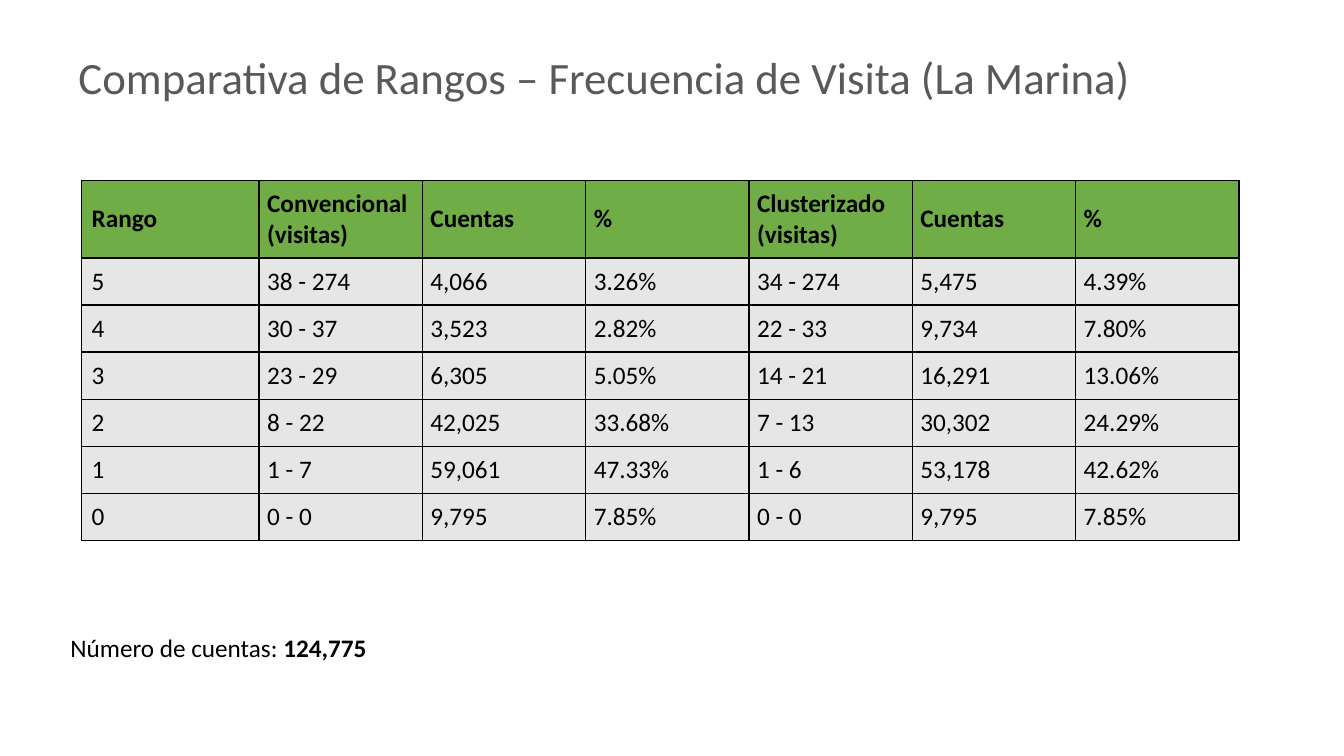
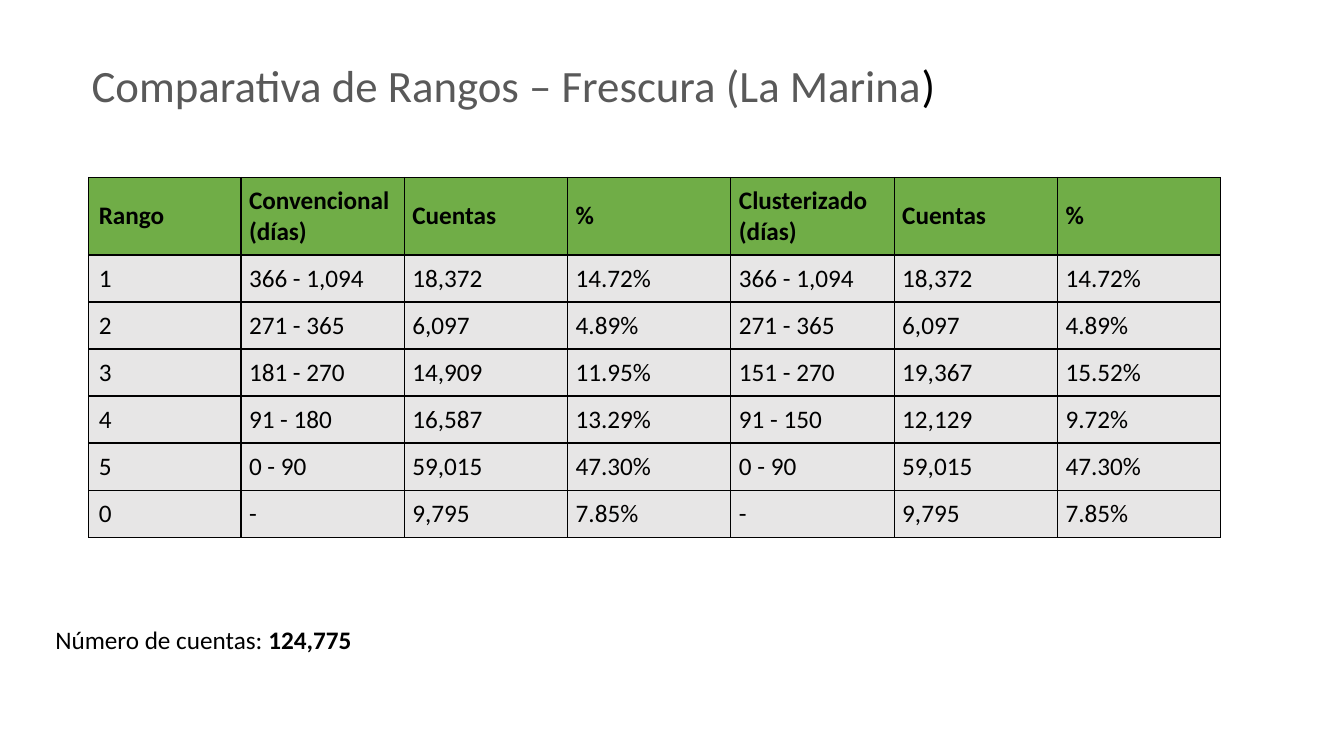
from dataclasses import dataclass

from lxml import etree
from pptx import Presentation
from pptx.dml.color import RGBColor
from pptx.enum.text import MSO_ANCHOR, MSO_AUTO_SIZE
from pptx.oxml.ns import qn
from pptx.slide import Slide
from pptx.table import _Cell
from pptx.text.text import _Paragraph
from pptx.util import Inches, Pt

MIDDLE = MSO_ANCHOR.MIDDLE
FIT_SHAPE = MSO_AUTO_SIZE.SHAPE_TO_FIT_TEXT


@dataclass(frozen=True)
class Theme:
    font: str = "Calibri"
    title_size: int = 32
    body_size: int = 18
    title_color: str = "595959"
    ink: str = "000000"
    header_fill: str = "70AD47"
    body_fill: str = "E7E6E6"
    border_width: int = 1


@dataclass(frozen=True)
class Run:
    text: str
    size: int
    color: str
    bold: bool = False


@dataclass(frozen=True)
class Box:
    left: float
    top: float
    width: float
    height: float


@dataclass(frozen=True)
class Comparison:
    title: tuple[Run, ...]
    title_box: Box
    unit: str
    rows: tuple[tuple[str, ...], ...]
    table_left: float
    table_top: float
    range_width: float
    total_box: Box


THEME = Theme()
VALUE_WIDTH = 1.62
TABLE_HEIGHT = 3.57
HEADER_HEIGHT = 0.77
CELL_INSET = 0.08
FIRST_COLUMN_INSET = 0.1

TOTAL = (
    Run("Número de cuentas: ", THEME.body_size, THEME.ink),
    Run("124,775", THEME.body_size, THEME.ink, bold=True),
)

COMPARISONS = (
    Comparison(
        title=(Run("Comparativa de Rangos – Frecuencia de Visita (La Marina)",
                   THEME.title_size, THEME.title_color),),
        title_box=Box(0.68, 0.44, 12.09, 0.64),
        unit="visitas",
        rows=(
            ("5", "38 - 274", "4,066", "3.26%", "34 - 274", "5,475", "4.39%"),
            ("4", "30 - 37", "3,523", "2.82%", "22 - 33", "9,734", "7.80%"),
            ("3", "23 - 29", "6,305", "5.05%", "14 - 21", "16,291", "13.06%"),
            ("2", "8 - 22", "42,025", "33.68%", "7 - 13", "30,302", "24.29%"),
            ("1", "1 - 7", "59,061", "47.33%", "1 - 6", "53,178", "42.62%"),
            ("0", "0 - 0", "9,795", "7.85%", "0 - 0", "9,795", "7.85%"),
        ),
        table_left=0.81,
        table_top=1.79,
        range_width=1.76,
        total_box=Box(0.6, 6.22, 3.62, 0.4),
    ),
    Comparison(
        title=(
            Run("Comparativa de Rangos – Frescura (La Marina", THEME.title_size, THEME.title_color),
            Run(")", THEME.title_size, THEME.ink),
        ),
        title_box=Box(0.81, 0.52, 9.34, 0.64),
        unit="días",
        rows=(
            ("1", "366 - 1,094", "18,372", "14.72%", "366 - 1,094", "18,372", "14.72%"),
            ("2", "271 - 365", "6,097", "4.89%", "271 - 365", "6,097", "4.89%"),
            ("3", "181 - 270", "14,909", "11.95%", "151 - 270", "19,367", "15.52%"),
            ("4", "91 - 180", "16,587", "13.29%", "91 - 150", "12,129", "9.72%"),
            ("5", "0 - 90", "59,015", "47.30%", "0 - 90", "59,015", "47.30%"),
            ("0", "-", "9,795", "7.85%", "-", "9,795", "7.85%"),
        ),
        table_left=0.88,
        table_top=1.76,
        range_width=1.51,
        total_box=Box(0.45, 6.14, 3.62, 0.4),
    ),
)


def add_text(paragraph: _Paragraph, text: str, *, size: int = THEME.body_size,
             color: str = THEME.ink, bold: bool = False) -> None:
    run = paragraph.add_run()
    run.text = text
    run.font.name = THEME.font
    run.font.size = Pt(size)
    run.font.bold = bold
    run.font.color.rgb = RGBColor.from_string(color)


def add_line(slide: Slide, box: Box, runs: tuple[Run, ...]) -> None:
    """Add a text box holding one paragraph of formatted runs."""
    frame = slide.shapes.add_textbox(
        Inches(box.left), Inches(box.top), Inches(box.width), Inches(box.height)
    ).text_frame
    frame.word_wrap = True
    frame.auto_size = FIT_SHAPE
    for run in runs:
        add_text(frame.paragraphs[0], run.text, size=run.size, color=run.color, bold=run.bold)


def add_borders(cell: _Cell) -> None:
    properties = cell._tc.get_or_add_tcPr()
    for side in ("a:lnL", "a:lnR", "a:lnT", "a:lnB"):
        line = etree.SubElement(properties, qn(side), w=str(Pt(THEME.border_width)))
        fill = etree.SubElement(line, qn("a:solidFill"))
        etree.SubElement(fill, qn("a:srgbClr"), val=THEME.ink)


def fill_cell(cell: _Cell, text: str, *, header: bool, first: bool) -> None:
    add_borders(cell)
    cell.fill.solid()
    cell.fill.fore_color.rgb = RGBColor.from_string(
        THEME.header_fill if header else THEME.body_fill)
    cell.vertical_anchor = MIDDLE
    cell.margin_left = Inches(FIRST_COLUMN_INSET if first else CELL_INSET)
    cell.margin_right = cell.margin_top = cell.margin_bottom = Inches(CELL_INSET)
    add_text(cell.text_frame.paragraphs[0], text, bold=header)


def add_comparison_table(slide: Slide, comparison: Comparison) -> None:
    header = ("Rango", f"Convencional ({comparison.unit})", "Cuentas", "%",
              f"Clusterizado ({comparison.unit})", "Cuentas", "%")
    rows = (header, *comparison.rows)
    widths = [comparison.range_width] + [VALUE_WIDTH] * (len(header) - 1)
    row_height = (TABLE_HEIGHT - HEADER_HEIGHT) / len(comparison.rows)

    table = slide.shapes.add_table(
        len(rows), len(header), Inches(comparison.table_left), Inches(comparison.table_top),
        Inches(sum(widths)), Inches(TABLE_HEIGHT),
    ).table
    table.horz_banding = False
    for column, width in zip(table.columns, widths):
        column.width = Inches(width)
    for row_index, values in enumerate(rows):
        is_header = row_index == 0
        table.rows[row_index].height = Inches(HEADER_HEIGHT if is_header else row_height)
        for column_index, value in enumerate(values):
            fill_cell(table.cell(row_index, column_index), value,
                      header=is_header, first=column_index == 0)


def main() -> None:
    presentation = Presentation()
    presentation.slide_width = Inches(13.33)
    presentation.slide_height = Inches(7.5)
    blank_layout = presentation.slide_layouts[6]
    for comparison in COMPARISONS:
        slide = presentation.slides.add_slide(blank_layout)
        add_line(slide, comparison.title_box, comparison.title)
        add_comparison_table(slide, comparison)
        add_line(slide, comparison.total_box, TOTAL)
    presentation.save("out.pptx")


if __name__ == "__main__":
    main()
